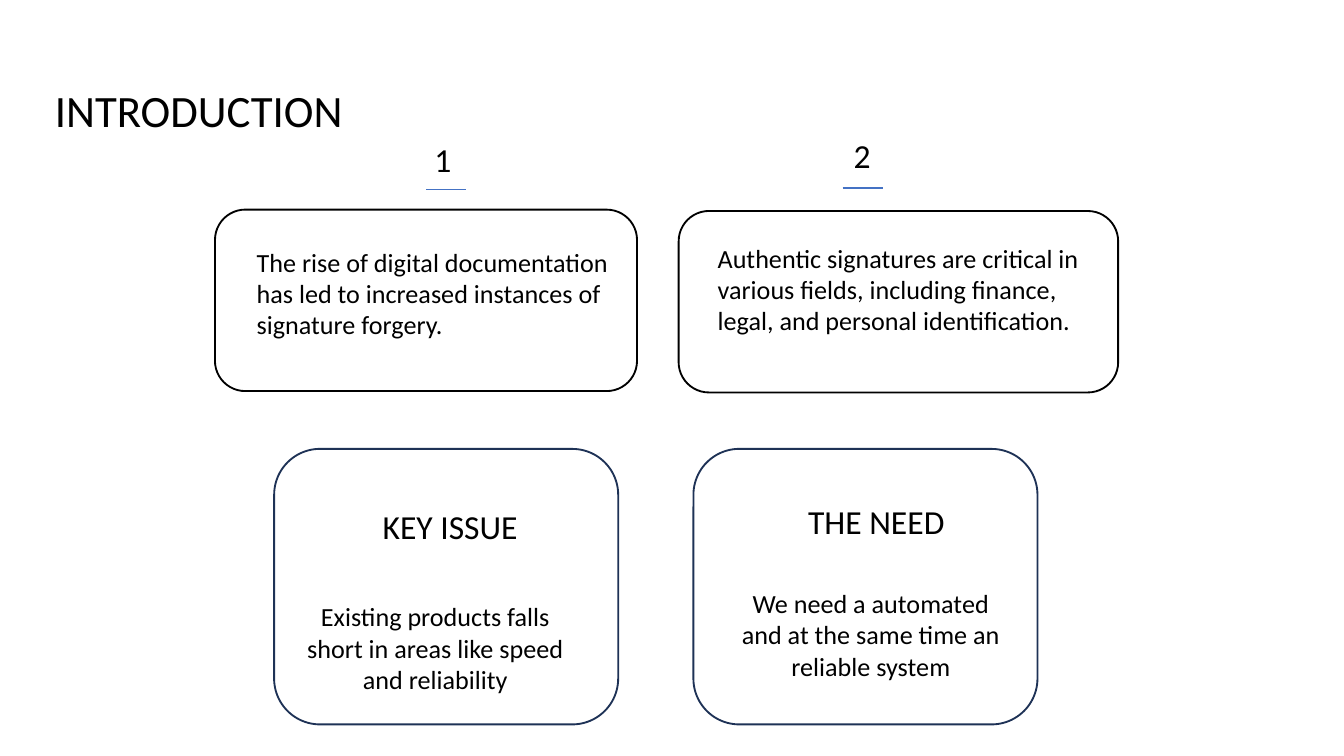
import pptx
import pptx.util
import pptx.dml.color
import pptx.enum.shapes
import pptx.enum.text
import pptx.oxml.ns
import lxml.etree

PX = 9144  # 100 px to the inch
PAGE_WIDTH = 1000
FONT = "Calibri"
INK, NAVY, BLUE = "000000", "1E3256", "4472C4"
LEFT = pptx.enum.text.PP_ALIGN.LEFT
CENTER = pptx.enum.text.PP_ALIGN.CENTER
TOP = pptx.enum.text.MSO_ANCHOR.TOP
BOTTOM = pptx.enum.text.MSO_ANCHOR.BOTTOM

# Text styles: size, alignment, anchor, line spacing, left inset
STYLES = {
    "title": (24, LEFT, TOP, 0.9, 10),
    "heading": (18, CENTER, BOTTOM, 0.9, 10),
    "point": (14, LEFT, TOP, 1.0, 60),
    "detail": (14, CENTER, TOP, 1.0, 10),
}

# Style, text, (left, top, width, height)
TEXTS = [
    ("heading", "1", (199, 84, 261, 60)),
    ("point", "The rise of digital documentation has led to increased "
     "instances of signature forgery.", (131, 173, 343, 135)),
    ("heading", "2", (511, 81, 261, 60)),
    ("point", "Authentic signatures are critical in various fields, including "
     "finance, legal, and personal identification.", (474, 170, 366, 135)),
    ("title", "INTRODUCTION", (31, 56, 269, 103)),
    ("heading", "KEY ISSUE", (222, 357, 226, 60)),
    ("detail", "Existing products falls short in areas like speed and "
     "reliability", (211, 437, 226, 135)),
    ("heading", "THE NEED", (539, 353, 226, 60)),
    ("detail", "We need a automated and at the same time an reliable system",
     (535, 427, 226, 135)),
]

# Left, y
UNDERLINES = [(317, 141), (627, 140)]
UNDERLINE_WIDTH = 30

# Line colour, (left, top, width, height)
FRAMES = [
    (INK, (160, 156, 314, 135)),
    (INK, (505, 157, 327, 135)),
    (NAVY, (204, 334, 256, 205)),
    (NAVY, (516, 334, 256, 205)),
]


def px(*lengths):
    return [round(length * PX) for length in lengths]


def rgb(code):
    return pptx.dml.color.RGBColor.from_string(code)


def add_text(page, style, text, place):
    size, align, anchor, spacing, inset = STYLES[style]
    box = page.shapes.add_textbox(*px(*place))
    frame = box.text_frame
    frame.word_wrap = True
    frame.vertical_anchor = anchor
    (frame.margin_left, frame.margin_top,
     frame.margin_right, frame.margin_bottom) = px(inset, 10, 10, 10)
    para = frame.paragraphs[0]
    para.alignment = align
    para.line_spacing = spacing
    span = para.add_run()
    span.text = text
    span.font.name = FONT
    span.font.size = pptx.util.Pt(size)
    span.font.color.rgb = rgb(INK)


def add_underline(page, left, y):
    line = page.shapes.add_connector(
        pptx.enum.shapes.MSO_CONNECTOR.STRAIGHT,
        *px(left, y, left + UNDERLINE_WIDTH, y))
    line.line.color.rgb = rgb(BLUE)
    line.line.width = pptx.util.Pt(0.75)
    lxml.etree.SubElement(line._element.spPr,
                          pptx.oxml.ns.qn("a:effectLst"))


def add_frame(page, color, place):
    shape = page.shapes.add_shape(
        pptx.enum.shapes.MSO_SHAPE.ROUNDED_RECTANGLE, *px(*place))
    shape.shadow.inherit = False
    shape.fill.background()
    shape.line.color.rgb = rgb(color)
    shape.line.width = pptx.util.Pt(1)


def main():
    deck = pptx.Presentation()
    deck.slide_width, deck.slide_height = px(PAGE_WIDTH, PAGE_WIDTH * 9 / 16)
    page = deck.slides.add_slide(deck.slide_layouts[6])
    for text in TEXTS:
        add_text(page, *text)
    for underline in UNDERLINES:
        add_underline(page, *underline)
    for frame in FRAMES:
        add_frame(page, *frame)
    deck.save("out.pptx")


if __name__ == "__main__":
    main()
